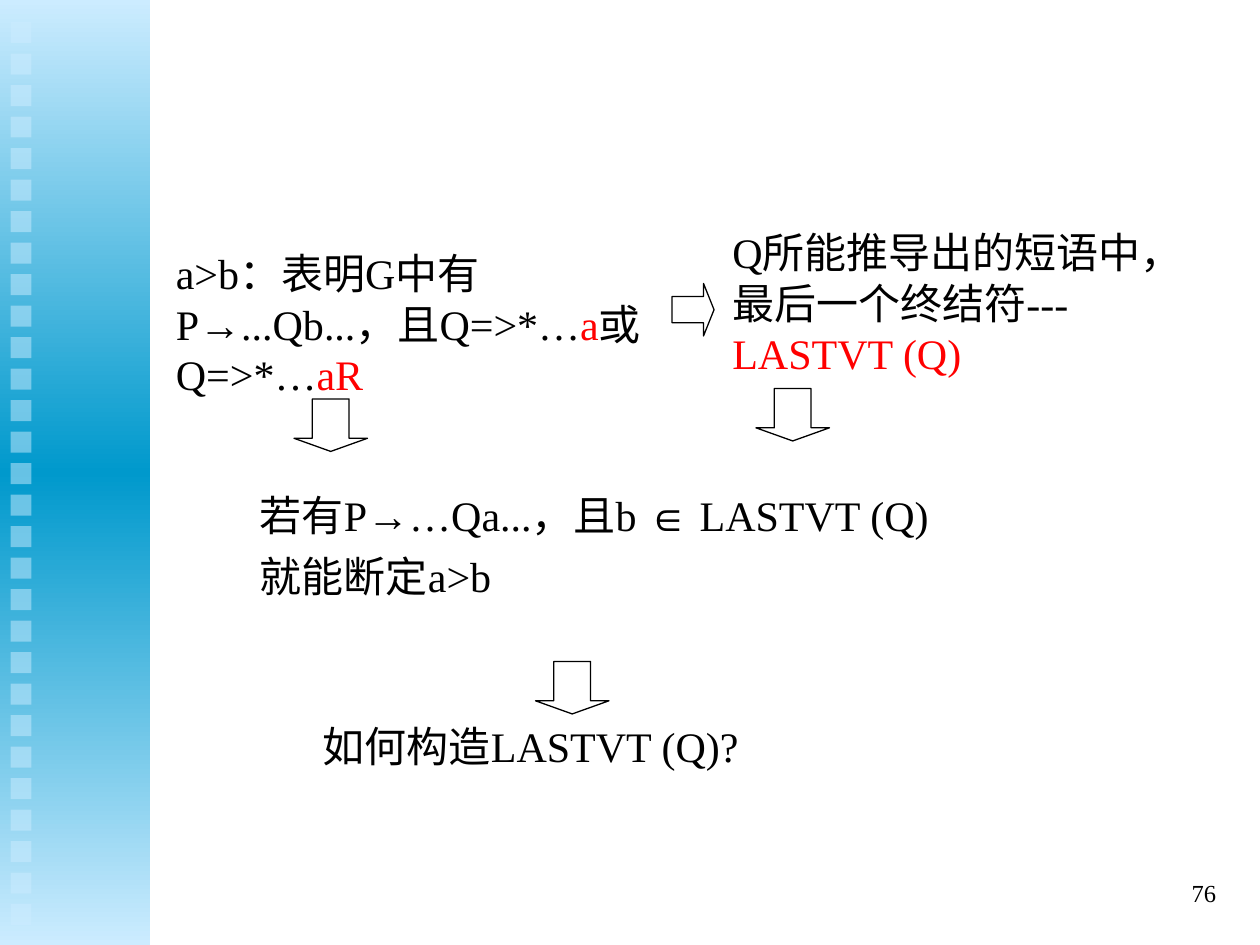
from copy import deepcopy

from pptx import Presentation
from pptx.dml.color import RGBColor
from pptx.enum.shapes import MSO_SHAPE
from pptx.enum.text import MSO_ANCHOR, PP_ALIGN
from pptx.oxml.ns import qn
from pptx.util import Pt
from lxml.etree import SubElement

FONT = "Times New Roman"
BLACK, RED, WHITE = "000000", "FF0000", "FFFFFF"
PALE, BLUE = "CCECFF", "0099CC"

# Content: (left, top, width, height), then paragraphs made of (text, colour) runs
STATEMENTS = [
    ((84, 138, 300, 93.6), [[("a>b：表明G中有P→...Qb...，且Q=>*…", BLACK), ("a", RED),
                             ("或Q=>*…", BLACK), ("aR", RED)]]),
    ((402, 126, 294, 93.6), [[("Q所能推导出的短语中，最后一个终结符---", BLACK),
                              ("LASTVT (Q)", RED)]]),
    ((132, 276, 450, 70.6), [[("若有P→…Qa...，且b ∈ LASTVT (Q)", BLACK)],
                             [("就能断定a>b", BLACK)]]),
    ((168, 408, 450, 36), [[("如何构造LASTVT (Q)?", BLACK)]]),
]
ARROWS = [
    (MSO_SHAPE.RIGHT_ARROW, (384, 162, 24, 30)),
    (MSO_SHAPE.DOWN_ARROW, (168, 228, 42, 30)),
    (MSO_SHAPE.DOWN_ARROW, (432, 222, 42, 30)),
    (MSO_SHAPE.DOWN_ARROW, (306, 378, 42, 30)),
]
PAGE_NUMBER = "76"
SQUARE_COUNT, SQUARE_SIZE, SQUARE_PITCH = 29, 12, 18
SQUARE_LEFT, SQUARE_TOP = 6, 12.6


def colour(hex_text):
    return RGBColor.from_string(hex_text)


def add_shape(slide, kind, box):
    shape = slide.shapes.add_shape(kind, *map(Pt, box))
    shape.shadow.inherit = False
    shape.line.fill.background()
    return shape


def add_text(slide, box, paragraphs, size, side_inset):
    frame = slide.shapes.add_textbox(*map(Pt, box)).text_frame
    frame.word_wrap = True
    frame.margin_left = frame.margin_right = Pt(side_inset)
    for index, runs in enumerate(paragraphs):
        paragraph = frame.paragraphs[0] if index == 0 else frame.add_paragraph()
        for text, hex_text in runs:
            run = paragraph.add_run()
            run.text = text
            run.font.name = FONT
            run.font.size = Pt(size)
            run.font.color.rgb = colour(hex_text)
    return frame


def add_band(slide):
    band = add_shape(slide, MSO_SHAPE.RECTANGLE, (0, 0, 85.7, 540))
    band.fill.gradient()
    band.fill.gradient_angle = 90
    stops = band.fill.gradient_stops
    for stop, position in zip(stops, (0, 1)):
        stop.color.rgb = colour(PALE)
        stop.position = position
    # Middle stop
    stop_list = band.fill._fill._gradFill.find(qn("a:gsLst"))
    stop_list.insert(1, deepcopy(stop_list[0]))
    middle = band.fill.gradient_stops[1]
    middle.color.rgb = colour(BLUE)
    middle.position = 0.5


def add_squares(slide):
    for index in range(SQUARE_COUNT):
        top = SQUARE_TOP + index * SQUARE_PITCH
        square = add_shape(slide, MSO_SHAPE.RECTANGLE,
                           (SQUARE_LEFT, top, SQUARE_SIZE, SQUARE_SIZE))
        square.fill.solid()
        square.fill.fore_color.rgb = colour(PALE)
        fill_colour = square.fill._xPr.find(qn("a:solidFill"))[0]
        SubElement(fill_colour, qn("a:alpha"), val="50000")


def main():
    presentation = Presentation()
    presentation.slide_width, presentation.slide_height = Pt(720), Pt(540)
    slide = presentation.slides.add_slide(presentation.slide_layouts[6])
    slide.background.fill.solid()
    slide.background.fill.fore_color.rgb = colour(WHITE)

    # Left decoration
    add_band(slide)
    add_squares(slide)

    # Statements
    for box, paragraphs in STATEMENTS:
        frame = add_text(slide, box, paragraphs, 24, 1.5)
        for paragraph in frame.paragraphs:
            paragraph.space_before = Pt(6)
            properties = paragraph._p.get_or_add_pPr()
            properties.set("marL", str(Pt(15)))
            properties.set("indent", "0")

    # Arrows between statements
    for kind, box in ARROWS:
        arrow = add_shape(slide, kind, box)
        arrow.adjustments[0], arrow.adjustments[1] = 0.5, 0.25
        arrow.fill.background()
        arrow.line.color.rgb = colour(BLACK)
        arrow.line.width = Pt(0.75)

    # Page number
    frame = add_text(slide, (552, 492, 150, 36), [[(PAGE_NUMBER, BLACK)]], 14, 7.2)
    frame.vertical_anchor = MSO_ANCHOR.MIDDLE
    frame.paragraphs[0].alignment = PP_ALIGN.RIGHT

    presentation.save("out.pptx")


if __name__ == "__main__":
    main()
